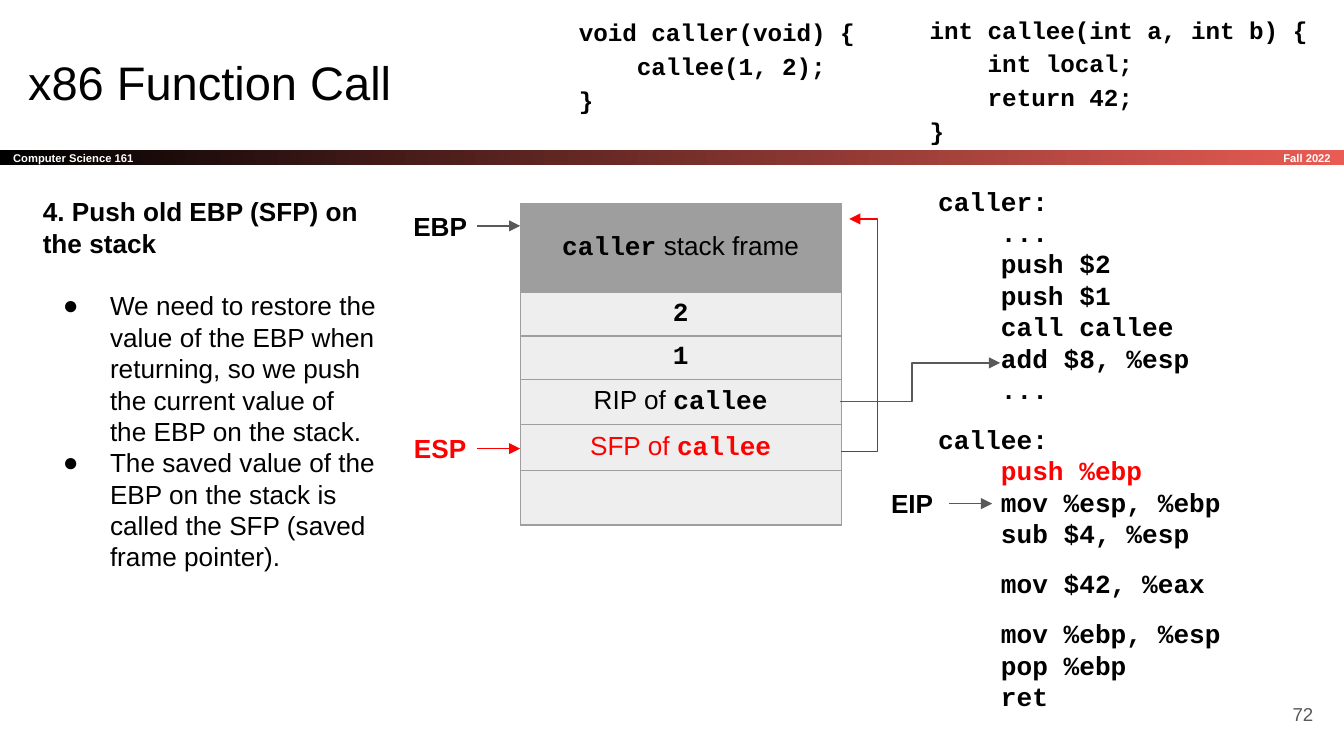
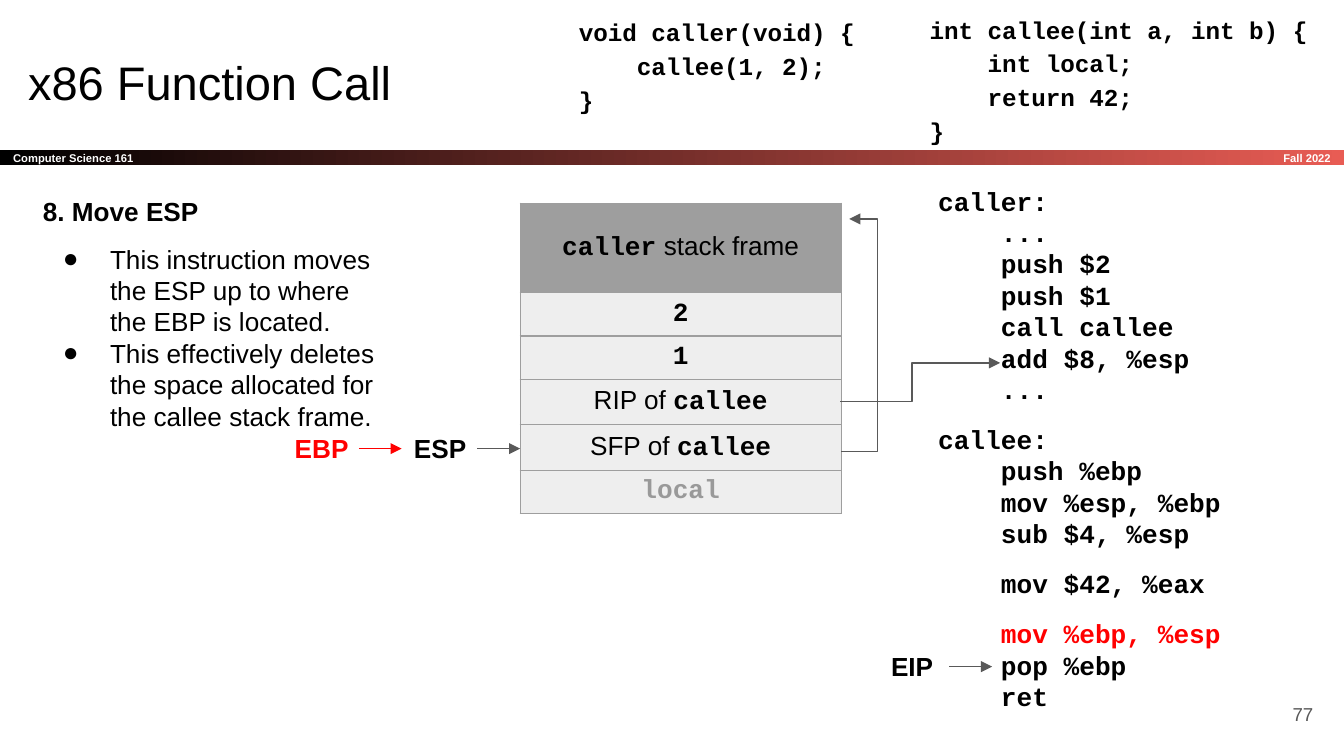
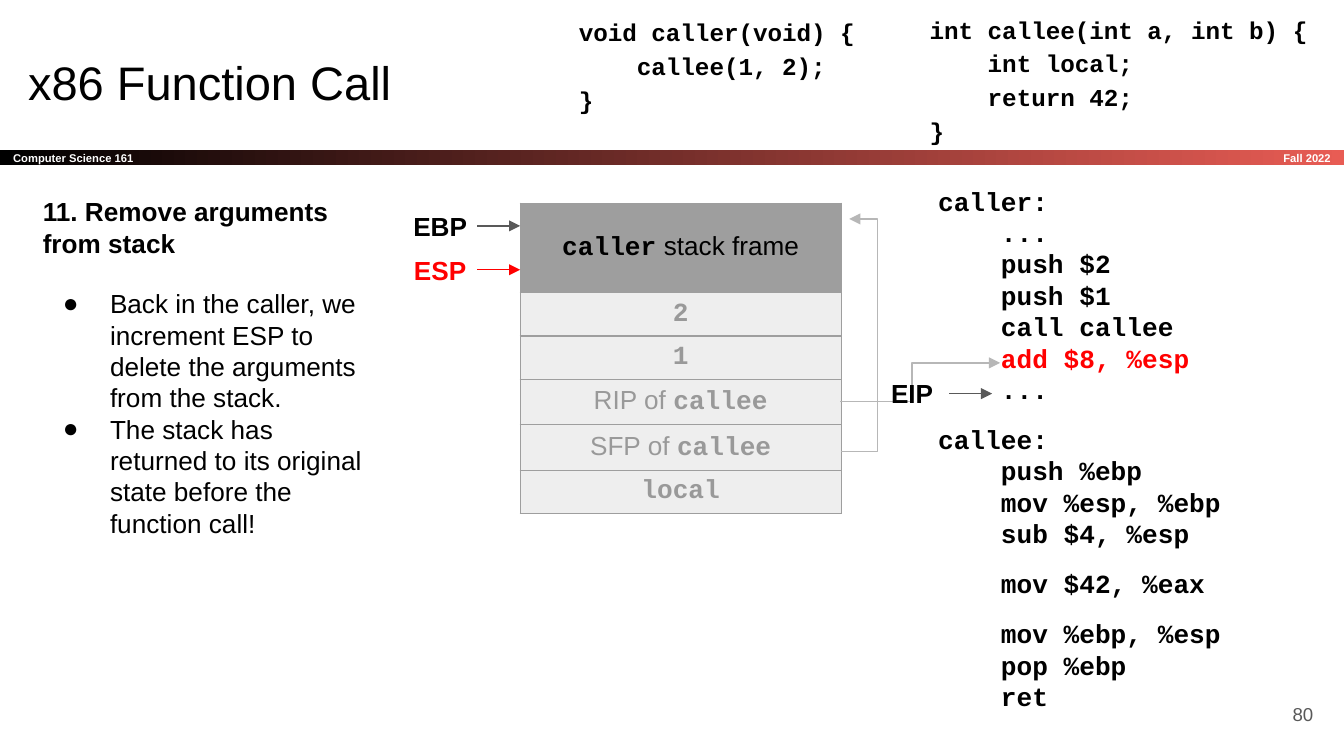
from dataclasses import dataclass

from lxml import etree
from pptx import Presentation
from pptx import util as u
from pptx.dml.color import RGBColor
from pptx.enum import shapes, text
from pptx.oxml.ns import qn


@dataclass(frozen=True)
class Theme:
    sans: str = "Arial"
    mono: str = "Courier New"
    black: str = "000000"
    white: str = "FFFFFF"
    band_end: str = "E85C54"
    red: str = "FF0000"
    arrow: str = "595959"
    faded_arrow: str = "B7B7B7"
    faded: str = "999999"
    frame: str = "9E9E9E"
    cell: str = "EEEEEE"
    title: float = 25.2
    body: float = 14
    source: float = 13
    page: float = 10
    band: float = 6
    line: float = 0.75
    body_leading: float = 16.8
    source_leading: float = 18


T = Theme()
WIDE, TIGHT = 0.25, 0.13
LABEL_W, LABEL_H, ARROW_W = 1.4, 0.86, 0.81
TABLE_LEFT, TABLE_TOP, TABLE_W = 9.83, 3.84, 6.07
HEADER_H, ROW_MIN, EMPTY_H = 1.69, 0.43, 0.97
EBP_X = ESP_X = 7.62
OUTER_X, EIP_X = 5.38, 16.54
TOP_Y, SECOND_Y, SFP_Y = 3.84, 4.67, 8.05

SFP_LINK = [(15.9, 8.53), (16.58, 8.53), (16.58, 4.14), (16.05, 4.14)]
RIP_LINK = [(15.88, 7.59), (17.24, 7.59), (17.24, 6.86), (18.9, 6.86)]

CALLER_SOURCE = ["void caller(void) {", "    callee(1, 2);", "}"]
CALLEE_SOURCE = ["int callee(int a, int b) {", "    int local;",
                 "    return 42;", "}"]
ASSEMBLY = [
    ["caller:", "    ...", "    push $2", "    push $1", "    call callee",
     "    add $8, %esp", "    ..."],
    ["callee:", "    push %ebp", "    mov %esp, %ebp", "    sub $4, %esp"],
    ["    mov $42, %eax"],
    ["    mov %ebp, %esp", "    pop %ebp", "    ret"],
]
BLOCK_GAP = 10


def rgb(value):
    return RGBColor.from_string(value)


def add_run(p, words, size=T.body, font=T.sans, color=T.black, bold=False):
    r = p.add_run()
    r.text = words
    f = r.font
    f.size, f.name, f.bold = u.Pt(size), font, bold
    f.color.rgb = rgb(color)


def set_frame(tf, inset=WIDE, anchor=text.MSO_ANCHOR.TOP):
    tf.word_wrap = True
    tf.auto_size = text.MSO_AUTO_SIZE.NONE
    tf.vertical_anchor = anchor
    tf.margin_left = tf.margin_right = u.Cm(inset)
    tf.margin_top = tf.margin_bottom = u.Cm(inset)


def add_box(s, left, top, width, height, inset=WIDE,
            anchor=text.MSO_ANCHOR.TOP):
    sp = s.shapes.add_textbox(*map(u.Cm, (left, top, width, height)))
    set_frame(sp.text_frame, inset, anchor)
    return sp


def next_paragraph(tf, leading, before=0):
    """Use the empty first paragraph, or add one with the space before it."""
    first = tf.paragraphs[0]
    if first.runs:
        p = tf.add_paragraph()
        p.space_before = u.Pt(before)
    else:
        p = first
    p.line_spacing = u.Pt(leading)
    return p


def set_bullet(p):
    pPr = p._p.get_or_add_pPr()
    pPr.set("marL", str(u.Cm(1.27)))
    pPr.set("indent", str(-u.Cm(0.89)))
    color = etree.SubElement(pPr, qn("a:buClr"))
    etree.SubElement(color, qn("a:srgbClr"), val=T.black)
    etree.SubElement(pPr, qn("a:buFont"), typeface=T.sans)
    etree.SubElement(pPr, qn("a:buChar"), char="●")


def style_line(sp, color):
    sp.line.color.rgb = rgb(color)
    sp.line.width = u.Pt(T.line)
    ln = sp.line._get_or_add_ln()
    etree.SubElement(ln, qn("a:tailEnd"), type="triangle")


def add_link(s, points, color):
    (x, y), *rest = [tuple(map(u.Cm, point)) for point in points]
    builder = s.shapes.build_freeform(x, y)
    builder.add_line_segments(rest, close=False)
    sp = builder.convert_to_shape()
    sp.shadow.inherit = False
    sp.fill.background()
    style_line(sp, color)


def add_register(s, name, left, top, color=T.black):
    """Register name with an arrow leaving its right side."""
    sp = add_box(s, left, top, LABEL_W, LABEL_H, TIGHT)
    p = sp.text_frame.paragraphs[0]
    p.alignment = text.PP_ALIGN.CENTER
    add_run(p, name, color=color, bold=True)
    x, y = left + LABEL_W, top + LABEL_H / 2
    line = s.shapes.add_connector(
        shapes.MSO_CONNECTOR.STRAIGHT, *map(u.Cm, (x, y, x + ARROW_W, y)))
    style_line(line, T.arrow if color == T.black else color)
    etree.SubElement(line._element.spPr, qn("a:effectLst"))


def add_source(s, lines, left, top, width, height):
    tf = add_box(s, left, top, width, height).text_frame
    for line in lines:
        p = next_paragraph(tf, T.source_leading)
        add_run(p, line, T.source, T.mono, bold=True)


def add_assembly(s, current):
    tf = add_box(s, 17.48, 3.25, 7.19, 10.8).text_frame
    for block in ASSEMBLY:
        for i, line in enumerate(block):
            p = next_paragraph(tf, T.body_leading, 0 if i else BLOCK_GAP)
            color = T.red if line.strip() == current else T.black
            add_run(p, line, font=T.mono, color=color, bold=True)


def add_explanation(s, heading, gap, points):
    tf = add_box(s, 0.56, 3.45, 6.81, 10.46).text_frame
    add_run(next_paragraph(tf, T.body_leading), heading, bold=True)
    for i, point in enumerate(points):
        p = next_paragraph(tf, T.body_leading, 0 if i else gap)
        set_bullet(p)
        add_run(p, point)


def style_cell(cell, fill):
    cell.margin_left = cell.margin_right = u.Cm(TIGHT)
    cell.margin_top = cell.margin_bottom = u.Cm(TIGHT)
    tcPr = cell._tc.get_or_add_tcPr()
    for side in ("lnL", "lnR", "lnT", "lnB"):
        ln = etree.SubElement(tcPr, qn("a:" + side), w=str(u.Pt(T.line)))
        color = etree.SubElement(ln, qn("a:solidFill"))
        etree.SubElement(color, qn("a:srgbClr"), val=T.frame)
    cell.fill.solid()
    cell.fill.fore_color.rgb = rgb(fill)


def add_stack(s, args=T.black, rip=T.black, sfp=T.black, local=True):
    """Stack table; each colour belongs to the rows of that name."""
    rows = [
        ([("caller", True), (" stack frame", False)], T.black),
        ([("2", True)], args),
        ([("1", True)], args),
        ([("RIP of ", False), ("callee", True)], rip),
        ([("SFP of ", False), ("callee", True)], sfp),
        ([("local", True)] if local else [], T.faded),
    ]
    heights = [HEADER_H] + [ROW_MIN] * 4 + [ROW_MIN if local else EMPTY_H]
    frame = s.shapes.add_table(
        len(rows), 1, *map(u.Cm, (TABLE_LEFT, TABLE_TOP, TABLE_W, sum(heights))))
    table = frame.table
    table.first_row = table.horz_banding = False
    for i, ((parts, color), height) in enumerate(zip(rows, heights)):
        table.rows[i].height = u.Cm(height)
        cell = table.cell(i, 0)
        style_cell(cell, T.cell if i else T.frame)
        p = cell.text_frame.paragraphs[0]
        p.alignment = text.PP_ALIGN.CENTER
        for words, is_code in parts:
            add_run(p, words, font=T.mono if is_code else T.sans,
                    color=color, bold=is_code)
    table.cell(0, 0).vertical_anchor = text.MSO_ANCHOR.MIDDLE


def add_band(s):
    """Build the course band on a slide, then move it to the layout."""
    band = s.shapes.add_shape(
        shapes.MSO_SHAPE.RECTANGLE, *map(u.Cm, (0, 2.83, 25.4, 0.3)))
    band.shadow.inherit = False
    band.line.fill.background()
    band.fill.gradient()
    band.fill.gradient_angle = 0
    for stop, color in zip(band.fill.gradient_stops, (T.black, T.band_end)):
        stop.color.rgb = rgb(color)
    set_frame(band.text_frame, anchor=text.MSO_ANCHOR.MIDDLE)
    term = add_box(s, 21.18, 2.83, 4.22, 0.3, anchor=text.MSO_ANCHOR.MIDDLE)
    for sp, words, align in (
            (band, "Computer Science 161", text.PP_ALIGN.LEFT),
            (term, "Fall 2022", text.PP_ALIGN.RIGHT)):
        p = sp.text_frame.paragraphs[0]
        p.alignment = align
        add_run(p, words, T.band, color=T.white, bold=True)
        s.slide_layout.shapes.element.append(sp._element)


def add_title(s, words):
    sp = s.shapes.title
    sp.left, sp.top, sp.width, sp.height = map(
        u.Cm, (0.28, 0.76, 23.67, 1.6))
    set_frame(sp.text_frame)
    p = sp.text_frame.paragraphs[0]
    p.alignment = text.PP_ALIGN.LEFT
    add_run(p, words, T.title)


def add_page_number(s, number):
    sp = add_box(s, 23.55, 12.95, 1.52, 1.09, anchor=text.MSO_ANCHOR.MIDDLE)
    p = sp.text_frame.paragraphs[0]
    p.alignment = text.PP_ALIGN.RIGHT
    add_run(p, str(number), T.page, color=T.arrow)


def add_step(prs, page, heading, gap, points, current, stack, links,
             registers):
    """One step of the call: explanation, stack, registers and code."""
    s = prs.slides.add_slide(prs.slide_layouts[5])
    add_title(s, "x86 Function Call")
    add_assembly(s, current)
    add_page_number(s, page)
    add_stack(s, **stack)
    for points_of_link, color in zip((SFP_LINK, RIP_LINK), links):
        add_link(s, points_of_link, color)
    add_explanation(s, heading, gap, points)
    for register in registers:
        add_register(s, *register)
    add_source(s, CALLER_SOURCE, 10.69, 0, 6.35, 2.39)
    add_source(s, CALLEE_SOURCE, 17.32, -0.05, 7.75, 3)
    return s


def main():
    prs = Presentation()
    prs.slide_width, prs.slide_height = u.Cm(25.4), u.Cm(14.29)
    s = add_step(
        prs, 72, "4. Push old EBP (SFP) on the stack", 16.8,
        ["We need to restore the value of the EBP when returning, so we push "
         "the current value of the EBP on the stack.",
         "The saved value of the EBP on the stack is called the SFP (saved "
         "frame pointer)."],
        "push %ebp", dict(sfp=T.red, local=False), (T.red, T.arrow),
        [("EBP", EBP_X, TOP_Y), ("ESP", ESP_X, SFP_Y, T.red),
         ("EIP", EIP_X, 9.09)])
    add_band(s)
    add_step(
        prs, 77, "8. Move ESP", 8.6,
        ["This instruction moves the ESP up to where the EBP is located.",
         "This effectively deletes the space allocated for the callee stack "
         "frame."],
        "mov %ebp, %esp", {}, (T.arrow, T.arrow),
        [("EBP", OUTER_X, SFP_Y, T.red), ("ESP", ESP_X, SFP_Y),
         ("EIP", EIP_X, 12.17)])
    add_step(
        prs, 80, "11. Remove arguments from stack", 15.6,
        ["Back in the caller, we increment ESP to delete the arguments from "
         "the stack.",
         "The stack has returned to its original state before the function "
         "call!"],
        "add $8, %esp", dict(args=T.faded, rip=T.faded, sfp=T.faded),
        (T.faded_arrow, T.faded_arrow),
        [("EBP", EBP_X, TOP_Y), ("ESP", ESP_X, SECOND_Y, T.red),
         ("EIP", EIP_X, 7.01)])
    prs.save("out.pptx")


if __name__ == "__main__":
    main()
